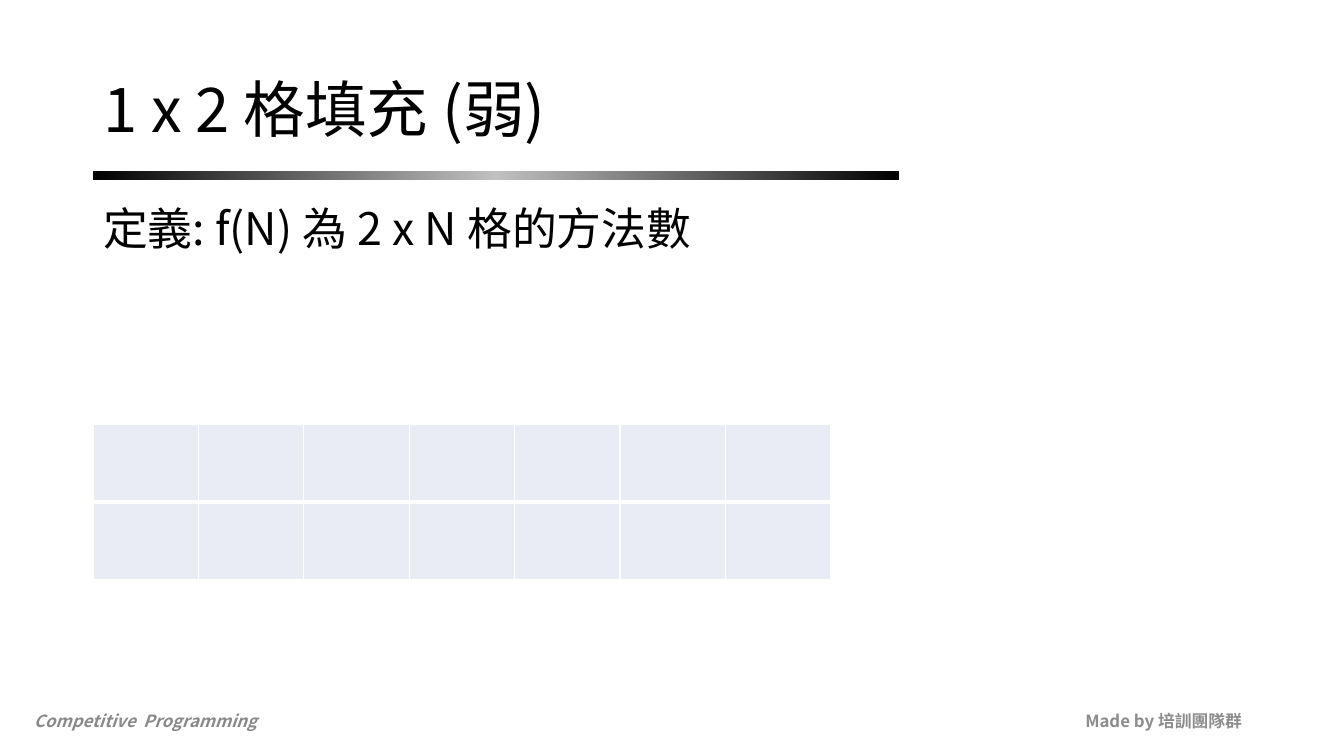
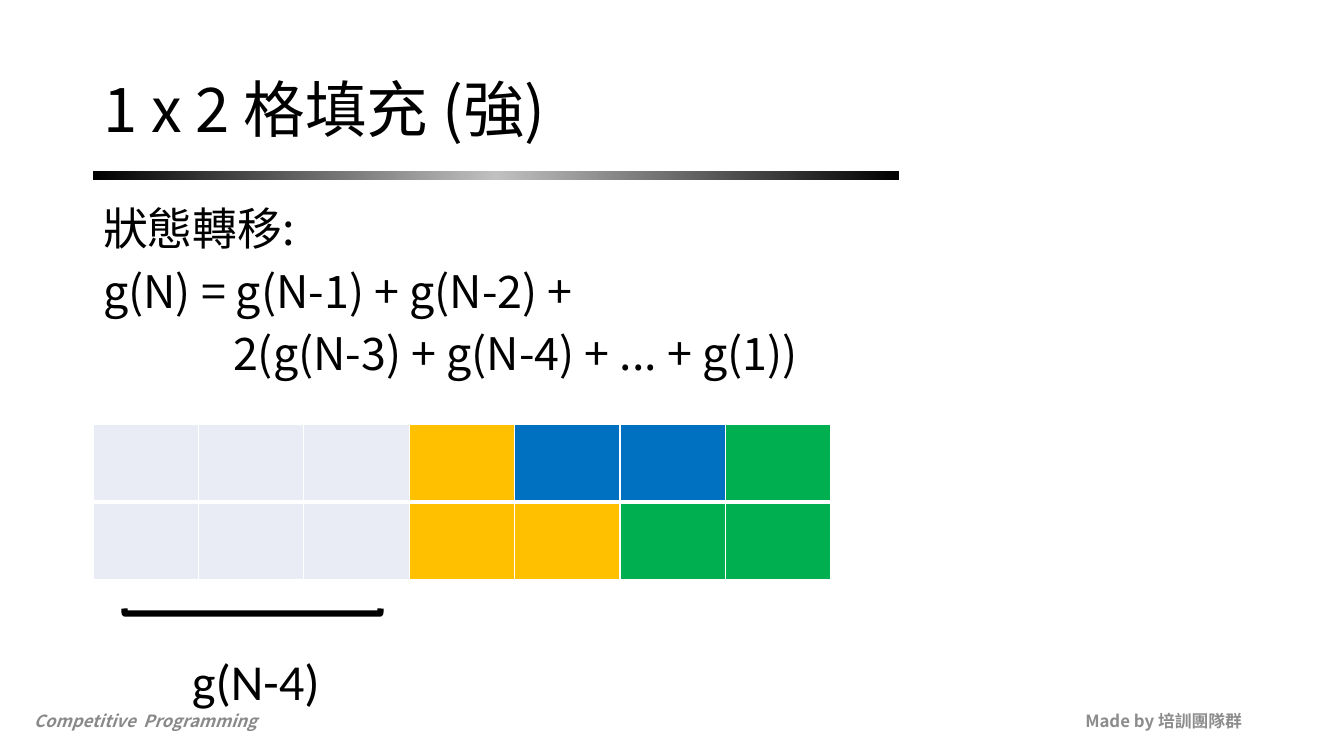
import copy
import pptx
import pptx.dml.color
import pptx.enum.shapes
import pptx.enum.text
import pptx.oxml.ns
import pptx.util
from lxml import etree

RGB = pptx.dml.color.RGBColor
BLACK = RGB(0, 0, 0)
SILVER = RGB(192, 192, 192)
WHITE = RGB(255, 255, 255)
MADE = RGB(140, 140, 140)
GRAY = RGB(137, 137, 137)
PALE = RGB(233, 235, 245)
GOLD = RGB(255, 192, 0)
BLUE = RGB(0, 112, 192)
GREEN = RGB(0, 176, 80)

SANS = "Noto Sans CJK SC"
ALIGN = pptx.enum.text.PP_ALIGN
MIDDLE = pptx.enum.text.MSO_ANCHOR.MIDDLE
SHAPE = pptx.enum.shapes.MSO_SHAPE
PT = pptx.util.Pt
qn = pptx.oxml.ns.qn
COLS = 7


def px(*nums):
    return [pptx.util.Emu(round(n * 914400 / 100.8)) for n in nums]


def style(par, size, color=BLACK, face=SANS, bold=False, slant=False):
    for run in par.runs:
        font = run.font
        font.size, font.bold, font.italic = PT(size), bold, slant
        font.color.rgb = color
        font.name = face
        etree.SubElement(run._r.get_or_add_rPr(), qn("a:ea"), typeface=face)


pages = [
    ("1 x 2 格填充 (弱)", [("定義: f(N) 為 2 x N 格的方法數", 0)],
     [[PALE] * COLS, [PALE] * COLS]),
    ("1 x 2 格填充 (強)",
     [("狀態轉移:", 0), ("g(N) = g(N-1) + g(N-2) +", 0),
      ("2(g(N-3) + g(N-4) + ... + g(1))", 130)],
     [[PALE] * 3 + [GOLD, BLUE, BLUE, GREEN],
      [PALE] * 3 + [GOLD, GOLD, GREEN, GREEN]]),
]
feet = [
    ("Made by 培訓團隊群", 950, MADE, ALIGN.RIGHT, False),
    ("Competitive  Programming", 24, GRAY, ALIGN.LEFT, True),
]
ramp = [(0, BLACK), (0.5, SILVER), (1, BLACK)]

deck = pptx.Presentation()
deck.slide_width, deck.slide_height = px(1344, 756)
layout = deck.slide_layouts[1]

for head, lines, grid in pages:
    slide = deck.slides.add_slide(layout)
    shapes = slide.shapes

    title, body = slide.placeholders
    for holder, top, high in [(title, 40, 146), (body, 202, 480)]:
        holder.left, holder.top, holder.width, holder.height = px(93, top, 1159, high)
        holder.text_frame.auto_size = pptx.enum.text.MSO_AUTO_SIZE.NONE
    title.text_frame.text = head
    title.text_frame.vertical_anchor = MIDDLE
    par = title.text_frame.paragraphs[0]
    par.alignment = ALIGN.LEFT
    par.line_spacing = 0.9
    style(par, 44)

    body.text_frame.text = "\n".join(line for line, _ in lines)
    for i, (par, (_, inset)) in enumerate(zip(body.text_frame.paragraphs, lines)):
        prop = par._p.get_or_add_pPr()
        prop.set("marL", str(px(inset)[0]))
        prop.set("indent", "0")
        etree.SubElement(prop, qn("a:buNone"))
        par.line_spacing = 0.9
        par.space_before = PT(10 if i else 0)
        style(par, 32)

    bar = shapes.add_shape(SHAPE.RECTANGLE, *px(93, 171, 806, 9))
    bar.shadow.inherit = False
    bar.line.fill.background()
    bar.fill.gradient()
    bar.fill.gradient_angle = 0
    stops = bar.element.find(".//" + qn("a:gsLst"))
    stops.insert(1, copy.deepcopy(stops[0]))
    for stop, (place, color) in zip(bar.fill.gradient_stops, ramp):
        stop.position = place
        stop.color.rgb = color

    for text, left, color, align, slant in feet:
        frame = shapes.add_textbox(*px(left, 701, 302, 40)).text_frame
        frame.word_wrap = True
        frame.vertical_anchor = MIDDLE
        frame.text = text
        frame.paragraphs[0].alignment = align
        style(frame.paragraphs[0], 12, color, bold=True, slant=slant)

    table = shapes.add_table(2, COLS, *px(93, 424, 738, 156)).table
    table.first_row = table.horz_banding = False
    for row, tints in enumerate(grid):
        for col, tint in enumerate(tints):
            cell = table.cell(row, col)
            prop = cell._tc.get_or_add_tcPr()
            inner = "lnT" if row else "lnB"
            for side in ("lnL", "lnR", "lnT", "lnB"):
                wide = PT(3 if side == inner else 1)
                edge = etree.SubElement(prop, qn("a:" + side), w=str(wide))
                fill = etree.SubElement(edge, qn("a:solidFill"))
                etree.SubElement(fill, qn("a:srgbClr"), val=str(WHITE))
            cell.fill.solid()
            cell.fill.fore_color.rgb = tint

brace = shapes.add_shape(SHAPE.LEFT_BRACKET, *px(250, 483, 5, 256))
brace.rotation = 270
brace.shadow.inherit = False
brace.fill.background()
brace.line.color.rgb = BLACK
brace.line.width = PT(4.5)

label = shapes.add_textbox(*px(182, 645, 149, 72)).text_frame
label.word_wrap = True
label.text = "g(N-4)"
style(label.paragraphs[0], 36, face="Calibri")

deck.save("out.pptx")
